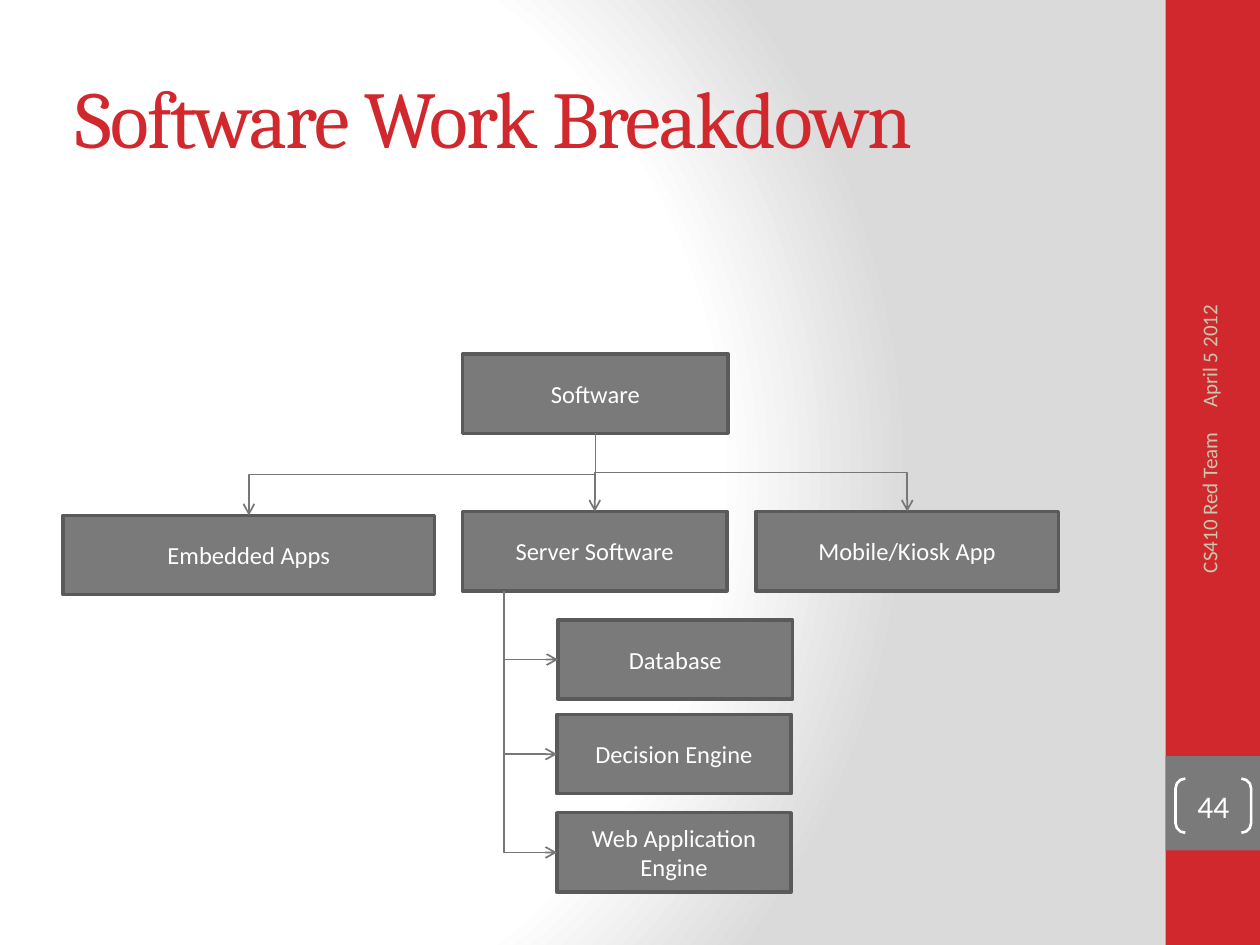
from pptx import Presentation
from pptx.dml.color import RGBColor
from pptx.enum import shapes, text
from pptx.oxml import parse_xml
from pptx.oxml.ns import nsdecls
from pptx.util import Inches, Pt

RED = RGBColor(0xD1, 0x28, 0x2E)
GRAY = RGBColor(0x7A, 0x7A, 0x7A)
EDGE = RGBColor(0x5A, 0x5A, 0x5A)
WIRE = RGBColor(0x77, 0x77, 0x77)
SAND = RGBColor(0xC8, 0xC8, 0xB1)
WHITE = RGBColor(0xFF, 0xFF, 0xFF)

WIDE, HIGH, BAR, BOX = 10, 7.5, 0.75, 0.63
STEM = 4  # x of the line that feeds the server parts
TITLE = "Software Work Breakdown"
ROOT = ("Software", 3.67, 2.81, 2.11)
APPS = [  # label, left, top, width
    ("Mobile/Kiosk App", 6, 4.06, 2.4),
    ("Server Software", 3.67, 4.06, 2.1),
    ("Embedded Apps", 0.5, 4.09, 2.95),
]
PARTS = [
    ("Database", 4.43, 4.92, 1.86),
    ("Decision Engine", 4.42, 5.67, 1.86),
    ("Web Application Engine", 4.42, 6.45, 1.86),
]
NOTES = [  # label, frame, alignment
    ("April 5 2012", (8.26, 1.8, 2.67, 0.4), text.PP_ALIGN.LEFT),
    ("CS410 Red Team", (8.3, 4.43, 2.59, 0.4), text.PP_ALIGN.RIGHT),
]
STOPS = [(0, "FFFFFF"), (75, "FFFFFF"), (100, "DADADA")]

deck = Presentation()
deck.slide_width, deck.slide_height = Inches(WIDE), Inches(HIGH)
slide = deck.slides.add_slide(deck.slide_layouts[5])


def inch(nums):
    return [Inches(n) for n in nums]


def write(shape, label, align=text.PP_ALIGN.CENTER, **looks):
    frame = shape.text_frame
    frame.word_wrap = True
    frame.vertical_anchor = text.MSO_ANCHOR.MIDDLE
    para = frame.paragraphs[0]
    para.alignment = align
    run = para.add_run()
    run.text = label
    looks = {"name": "Calibri", "size": Pt(14), "color": WHITE} | looks
    run.font.color.rgb = looks.pop("color")
    for key, val in looks.items():
        setattr(run.font, key, val)
    return run


def draw(kind, at, fill=None, line=None, width=2):
    shape = slide.shapes.add_shape(kind, *inch(at))
    shape.shadow.inherit = False
    if fill is None:
        shape.fill.background()
    else:
        shape.fill.solid()
        shape.fill.fore_color.rgb = fill
    if line is None:
        shape.line.fill.background()
    else:
        shape.line.color.rgb = line
        shape.line.width = Pt(width)
    return shape


def box(label, left, top, width):
    at = left, top, width, BOX
    write(draw(shapes.MSO_SHAPE.RECTANGLE, at, GRAY, EDGE), label)


def wire(start, end, bends):
    """Elbow arrow that leaves downward: a sideways elbow, turned a quarter."""
    (x1, y1), (x2, y2) = start, end
    midx, midy = (x1 + x2) / 2, (y1 + y2) / 2
    side = 1 if x2 > x1 else -1
    dx, dy = side * (y2 - y1) / 2, abs(x2 - x1) / 2
    line = slide.shapes.add_connector(
        shapes.MSO_CONNECTOR.ELBOW,
        *inch((midx + dx, midy - dy, midx - dx, midy + dy)))
    line.line.color.rgb = WIRE
    line.line.width = Pt(1)
    props = line._element.spPr
    props.xfrm.set("rot", str((270 if side > 0 else 90) * 60000))
    props.prstGeom.set("prst", f"bentConnector{bends + 1}")
    line.line._get_or_add_ln().append(
        parse_xml(f'<a:tailEnd {nsdecls("a")} type="arrow"/>'))
    props.append(parse_xml(f'<a:effectLst {nsdecls("a")}/>'))


stops = "".join(f'<a:gs pos="{pos * 1000}"><a:srgbClr val="{hue}"/></a:gs>'
                for pos, hue in STOPS)
slide._element.cSld.insert(0, parse_xml(
    f'<p:bg {nsdecls("p", "a")}><p:bgPr><a:gradFill rotWithShape="1">'
    f'<a:gsLst>{stops}</a:gsLst><a:path path="circle">'
    '<a:fillToRect l="20000" t="50000" r="100000" b="50000"/></a:path>'
    '</a:gradFill><a:effectLst/></p:bgPr></p:bg>'))

edge = WIDE - BAR
draw(shapes.MSO_SHAPE.RECTANGLE, (edge, 0, BAR, HIGH), RED)
draw(shapes.MSO_SHAPE.RECTANGLE, (edge, HIGH * 0.8, BAR, BAR), GRAY)

title = slide.shapes.title
title.left, title.top, title.width, title.height = inch((0.5, 0.3, 8.33, 1.25))
head = write(title, TITLE, text.PP_ALIGN.LEFT,
             name="Cambria", size=Pt(46), color=RED)
head.font._element.set("spc", "-100")

for label, at, align in NOTES:
    note = slide.shapes.add_textbox(*inch(at))
    note.rotation = 270
    write(note, label, align, size=Pt(12), color=SAND)

page = draw(shapes.MSO_SHAPE.DOUBLE_BRACKET, (9.33, 6.18, 0.6, 0.43),
            line=WHITE, width=1.5)
page.adjustments[0] = 0.18
for side in ("left", "top", "right", "bottom"):
    setattr(page.text_frame, f"margin_{side}", 0)
write(page, "44", size=Pt(18))

for item in [ROOT, *APPS, *PARTS]:
    box(*item)

_, left, top, width = ROOT
base = left + width / 2, top + BOX
for _, left, top, width in APPS:
    wire(base, (left + width / 2, top), 2)

foot = APPS[1][2] + BOX
for _, left, top, _ in PARTS:
    wire((STEM, foot), (left, top + BOX / 2), 1)

deck.save("out.pptx")
